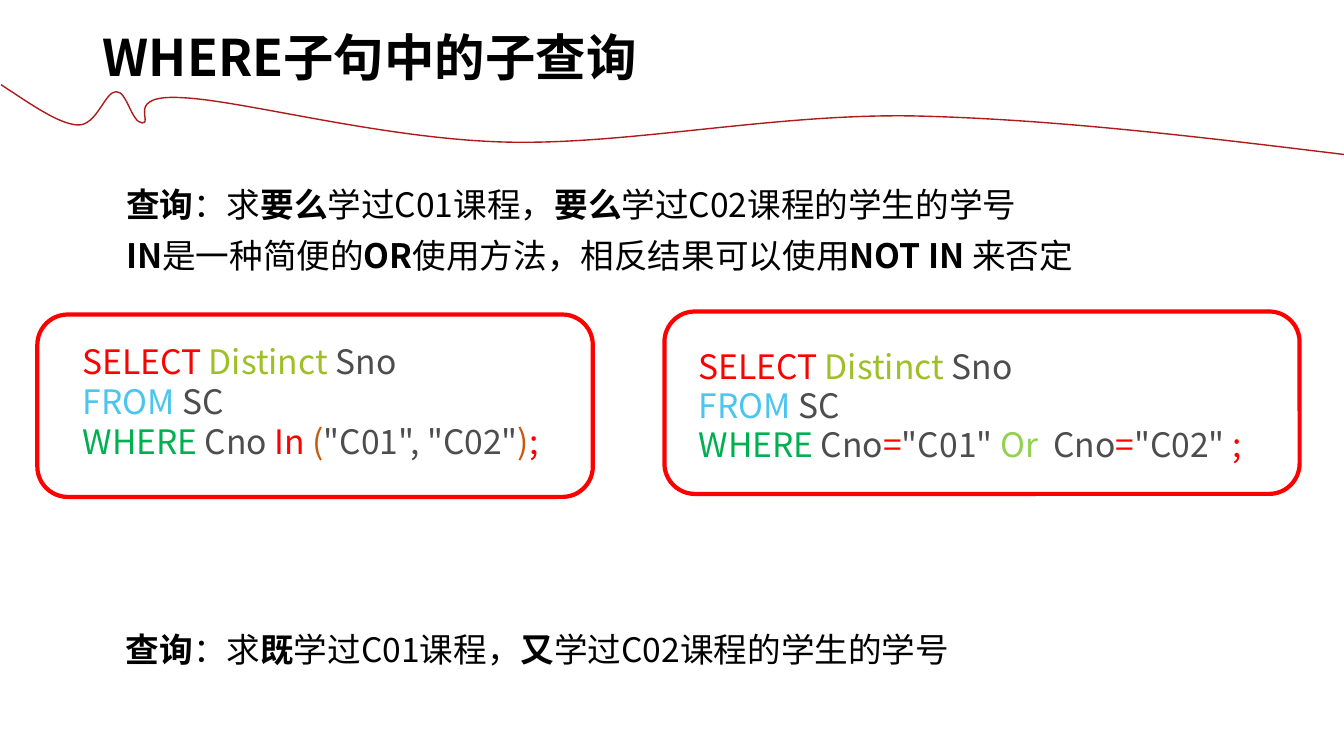
from lxml import etree
from pptx import Presentation
from pptx import util as u
from pptx.dml.color import RGBColor
from pptx.enum import shapes, text
from pptx.oxml.ns import qn

COLORS = {
    "black": "000000", "gray": "4D4D4D", "red": "FF0000", "olive": "9EBF27",
    "sky": "4AC5ED", "green": "00B050", "lime": "92D050", "brown": "C55A11",
    "wave": "AD1B1B",
}
FONT = "Noto Sans CJK SC"

WAVE = [
    (0.01, 0.84),
    (0.3, 1.03), (0.58, 1.23), (0.77, 1.24),
    (0.96, 1.25), (1.04, 0.91), (1.15, 0.91),
    (1.26, 0.9), (1.3, 1.21), (1.41, 1.22),
    (1.53, 1.23), (1.22, 0.93), (1.82, 0.97),
    (2.42, 1), (3.81, 1.38), (5.02, 1.41),
    (6.22, 1.44), (7.65, 1.13), (9.04, 1.15),
    (10.44, 1.18), (11.91, 1.36), (13.39, 1.54),
]

SELECT_LINE = [("SELECT ", "red"), ("Distinct ", "olive"), ("Sno", "gray")]
FROM_LINE = [("FROM ", "sky"), ("SC", "gray")]
IN_CODE = [
    SELECT_LINE, FROM_LINE,
    [("WHERE ", "green"), ("Cno ", "gray"), ("In ", "red"), ("(", "brown"),
     ('"C01", "C02"', "gray"), (")", "brown"), (";", "red")],
]
OR_CODE = [
    SELECT_LINE, FROM_LINE,
    [("WHERE ", "green"), ("Cno", "gray"), ("=", "red"), ('"C01" ', "gray"),
     ("Or  ", "lime"), ("Cno", "gray"), ("=", "red"), ('"C02" ', "gray"),
     (";", "red")],
]


def color(name):
    return RGBColor.from_string(COLORS[name])


def add_span(para, words, size=24, tint="black", bold=False):
    span = para.add_run()
    span.text = words
    font = span.font
    font.size, font.bold, font.name = u.Pt(size), bold, FONT
    font.color.rgb = color(tint)
    etree.SubElement(span._r.get_or_add_rPr(), qn("a:ea"), typeface=FONT)


def query(first, second):
    """Spans of a question whose two linking words are bold."""
    return [("查询", True), ("：求", False), (first, True), ("学过C01课程，", False),
            (second, True), ("学过C02课程的学生的学号", False)]


class Slide:
    def __init__(self, deck):
        self.page = deck.slides.add_slide(deck.slide_layouts[1])

    def place(self, shape, left, top, width, height):
        shape.left, shape.top = u.Inches(left), u.Inches(top)
        shape.width, shape.height = u.Inches(width), u.Inches(height)

    def fill_text(self, shape, lines, spacing=None, before=0):
        """Fill a shape with lines, each a list of keyword sets for add_span."""
        frame = shape.text_frame
        frame.word_wrap = True
        frame.auto_size = text.MSO_AUTO_SIZE.NONE
        frame.vertical_anchor = text.MSO_ANCHOR.TOP
        for index, spans in enumerate(lines):
            para = frame.add_paragraph() if index else frame.paragraphs[0]
            para.alignment = text.PP_ALIGN.LEFT
            para.space_before = u.Pt(before if index else 0)
            if spacing:
                para.line_spacing = u.Pt(spacing)
            if shape.is_placeholder:
                props = para._p.get_or_add_pPr()
                props.set("marL", "0")
                props.set("indent", "0")
                etree.SubElement(props, qn("a:buNone"))
            for span in spans:
                add_span(para, **span)

    def wave(self, points):
        """Draw a curve: a start point, then triples of Bezier points."""
        builder = self.page.shapes.build_freeform(
            *(u.Inches(value) for value in points[0]), scale=1.0)
        builder.add_line_segments(
            [(u.Inches(x), u.Inches(y)) for x, y in points[1:]], close=False)
        curve = builder.convert_to_shape()
        curve.shadow.inherit = False
        curve.fill.background()
        curve.line.color.rgb = color("wave")
        curve.line.width = u.Pt(1)
        outline = next(curve._element.iter(qn("a:path")))
        steps = outline.findall(qn("a:lnTo"))
        for start in range(0, len(steps), 3):
            bend = etree.SubElement(outline, qn("a:cubicBezTo"))
            for step in steps[start:start + 3]:
                bend.append(step[0])
                outline.remove(step)

    def title(self, words, *area):
        shape = self.page.shapes.title
        self.place(shape, *area)
        self.fill_text(shape, [[dict(words=words, size=36, bold=True)]])
        shape.text_frame.word_wrap = False

    def prose(self, lines, *area, shape=None):
        shape = shape or self.page.shapes.add_textbox(0, 0, 0, 0)
        self.place(shape, *area)
        self.fill_text(
            shape, [[dict(words=words, bold=bold) for words, bold in line]
                    for line in lines], spacing=31, before=6)

    def code(self, lines, *area, spacing=None):
        box = self.page.shapes.add_textbox(0, 0, 0, 0)
        self.place(box, *area)
        self.fill_text(
            box, [[dict(words=words, tint=tint) for words, tint in line]
                  for line in lines], spacing=spacing)

    def frame(self, *area):
        box = self.page.shapes.add_shape(
            shapes.MSO_SHAPE.ROUNDED_RECTANGLE, *(u.Inches(value) for value in area))
        box.shadow.inherit = False
        box.fill.background()
        box.line.color.rgb = color("red")
        box.line.width = u.Pt(3)


def main():
    deck = Presentation()
    deck.slide_width, deck.slide_height = u.Inches(13.33), u.Inches(7.5)
    slide = Slide(deck)
    slide.wave(WAVE)
    slide.title("WHERE子句中的子查询", 0.92, 0.21, 5.63, 0.71)
    slide.code(IN_CODE, 0.72, 3.34, 5.03, 1.31, spacing=28.5)
    slide.frame(0.37, 3.12, 5.51, 1.81)
    slide.code(OR_CODE, 6.83, 3.39, 6.22, 1.28, spacing=28)
    slide.frame(6.59, 3.09, 6.3, 1.81)
    slide.prose(
        [query("要么", "要么"),
         [("IN", True), ("是一种简便的", False), ("OR", True),
          ("使用方法，相反结果可以使用", False), ("NOT IN ", True), ("来否定", False)]],
        1.15, 1.74, 10.16, 1.03, shape=slide.page.placeholders[1])
    slide.prose([query("既", "又")], 1.15, 6.16, 9.19, 0.51)
    deck.save("out.pptx")


if __name__ == "__main__":
    main()
